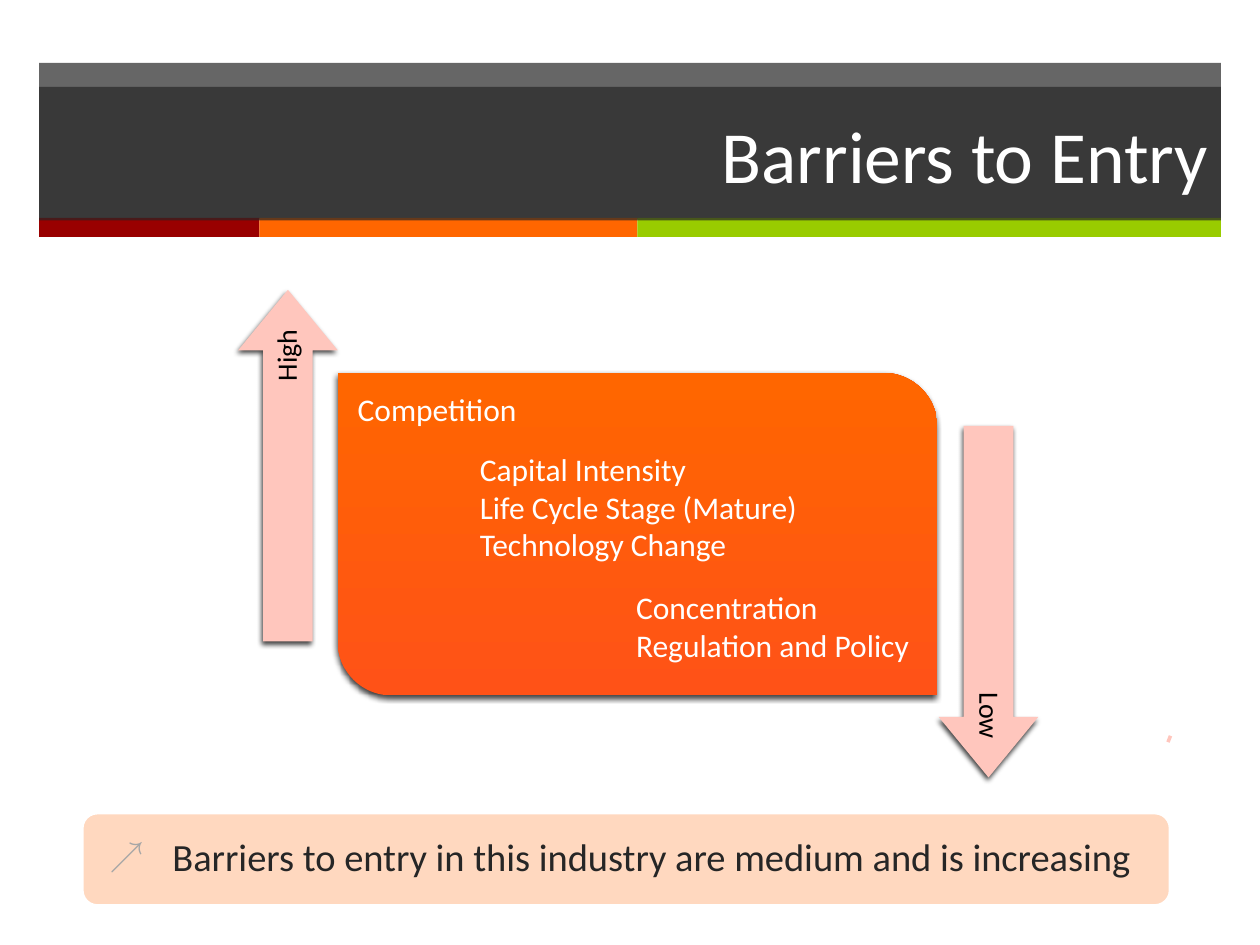
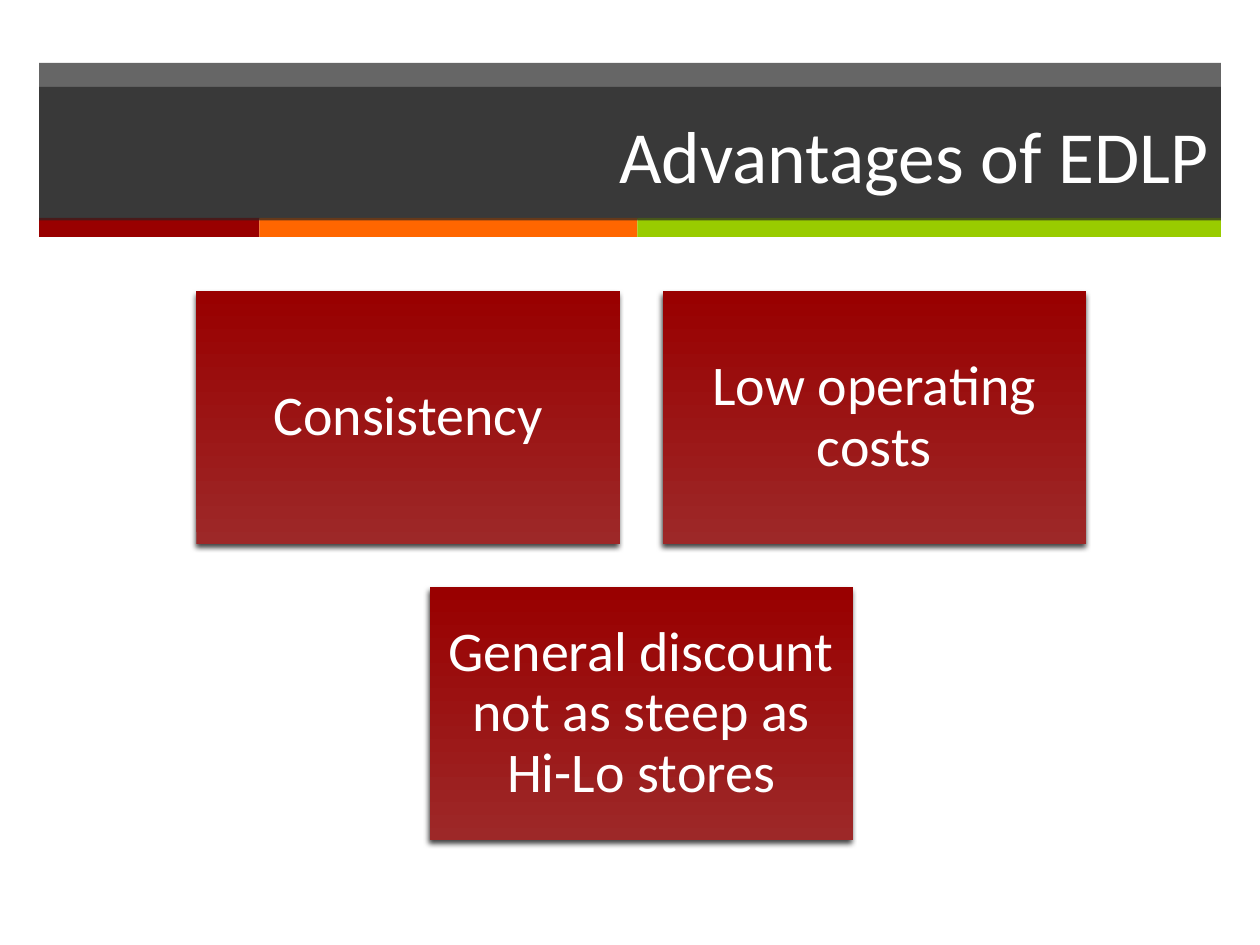
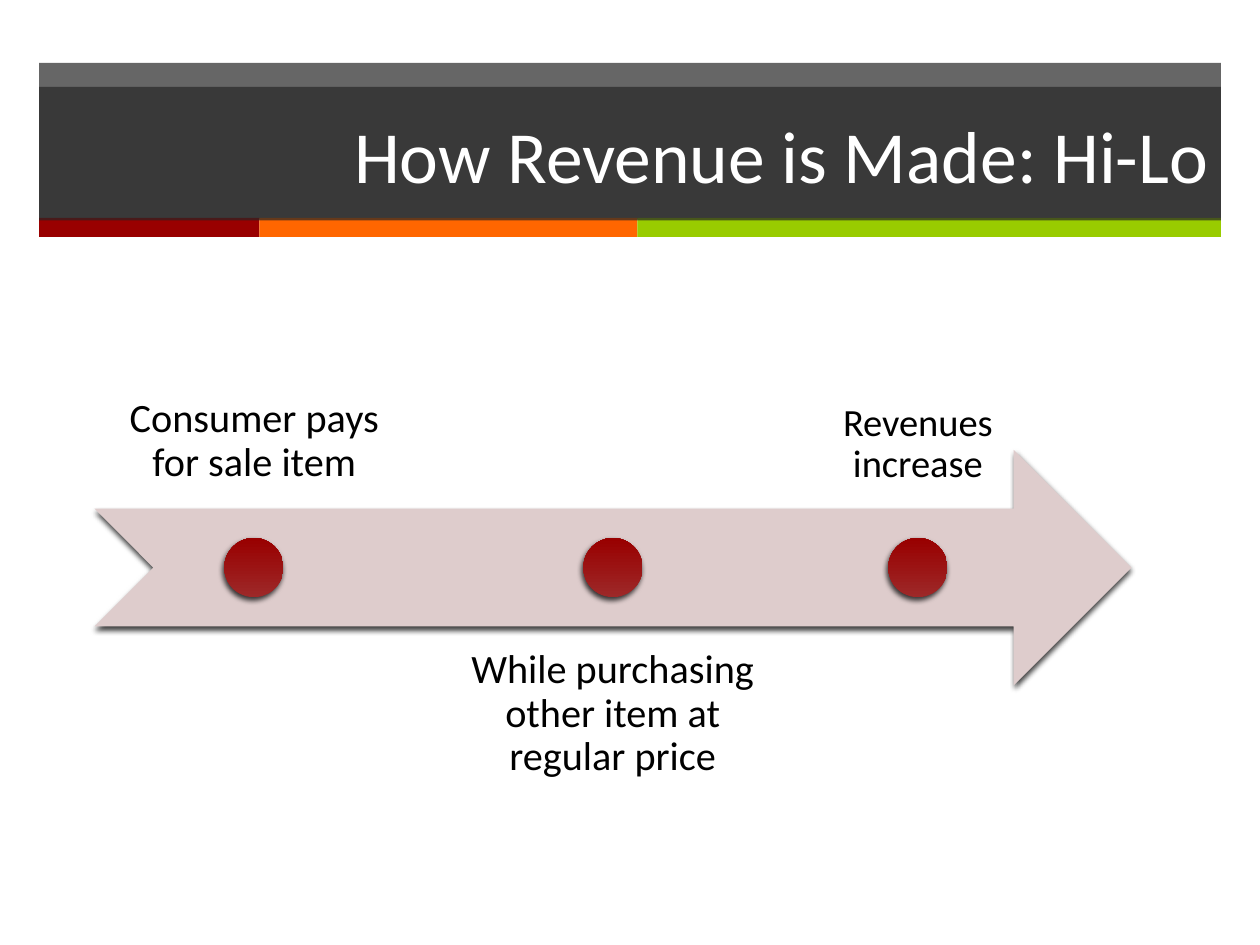
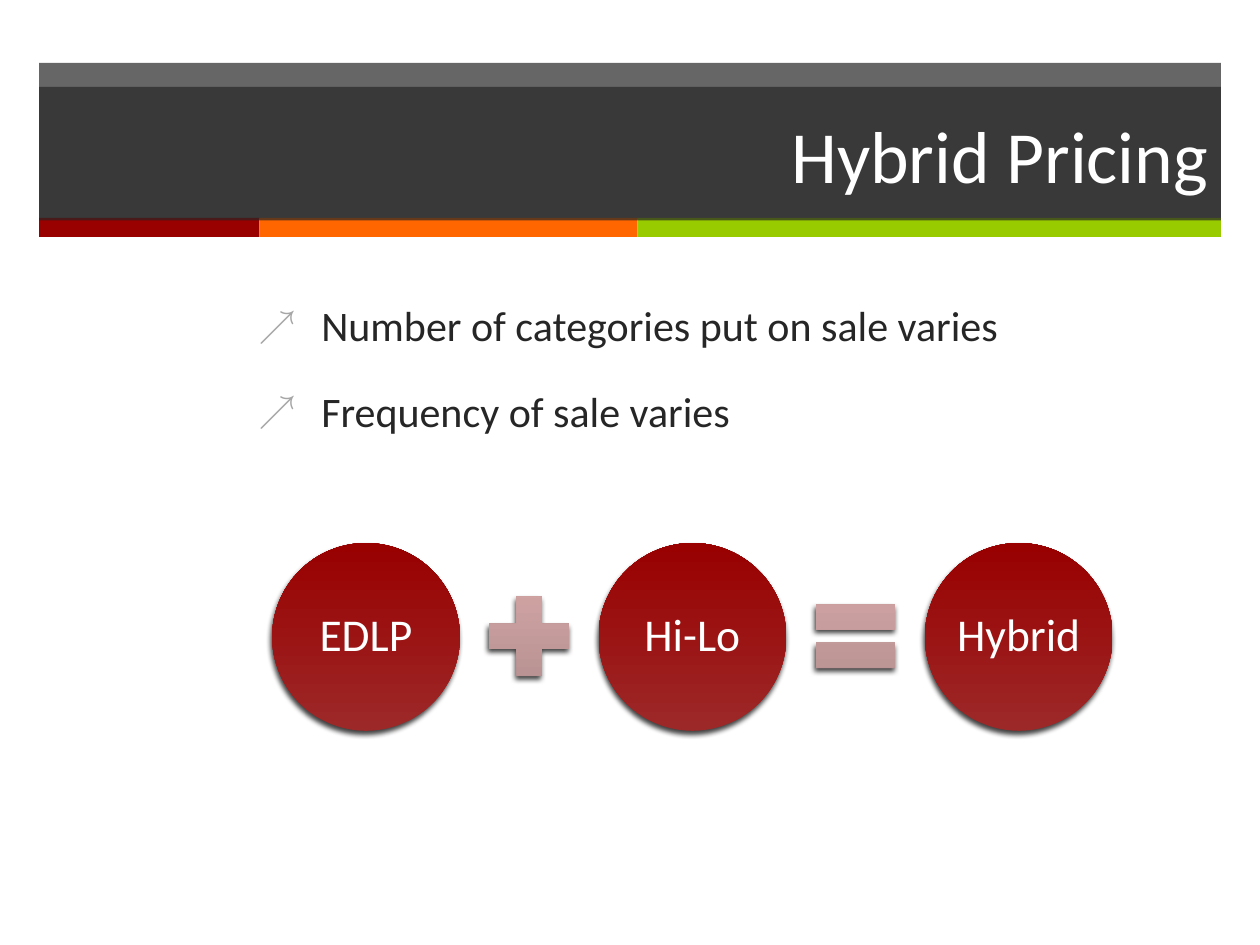
from dataclasses import dataclass
from typing import Any, NamedTuple

from lxml import etree
from pptx import Presentation
from pptx.dml.color import RGBColor
from pptx.enum.shapes import MSO_CONNECTOR, MSO_SHAPE
from pptx.enum.text import MSO_ANCHOR, MSO_AUTO_SIZE, PP_ALIGN
from pptx.oxml.ns import qn
from pptx.util import Emu, Pt

RECTANGLE = MSO_SHAPE.RECTANGLE
ROUNDED = MSO_SHAPE.ROUNDED_RECTANGLE
DIAGONAL = MSO_SHAPE.ROUND_2_DIAG_RECTANGLE
ARROW = MSO_SHAPE.RIGHT_ARROW
NOTCHED_ARROW = MSO_SHAPE.NOTCHED_RIGHT_ARROW
OVAL = MSO_SHAPE.OVAL
PLUS = MSO_SHAPE.MATH_PLUS
EQUAL = MSO_SHAPE.MATH_EQUAL
STRAIGHT = MSO_CONNECTOR.STRAIGHT
TOP, MIDDLE, BOTTOM = MSO_ANCHOR.TOP, MSO_ANCHOR.MIDDLE, MSO_ANCHOR.BOTTOM
LEFT, CENTER, RIGHT = PP_ALIGN.LEFT, PP_ALIGN.CENTER, PP_ALIGN.RIGHT
NO_FIT, GROW = MSO_AUTO_SIZE.NONE, MSO_AUTO_SIZE.SHAPE_TO_FIT_TEXT

EMU_PER_PX = 9144
TITLE_ONLY, TITLE_AND_CONTENT = 5, 1


def px(length: int) -> Emu:
    return Emu(length * EMU_PER_PX)


@dataclass(frozen=True)
class Theme:
    font: str = "Calibri"
    bullet_font: str = "Arial"
    white: str = "FFFFFF"
    black: str = "000000"
    dark: str = "262626"
    red: str = "990000"
    orange: str = "FF6600"
    green: str = "99CC00"
    pink: str = "FFC6BD"
    dusty: str = "DECCCC"
    bullet: str = "A6A6A6"
    red_fade: tuple[str, str] = ("9D2828", "990000")
    orange_fade: tuple[str, str] = ("FF5217", "FF6600")
    sign_fade: tuple[str, str] = ("B69191", "D2A4A4")
    title_size: int = 42
    card_size: int = 32
    circle_size: int = 26
    list_size: int = 24
    event_size: int = 23
    conclusion_size: int = 22
    factor_size: int = 18
    scale_size: int = 16


THEME = Theme()


class Box(NamedTuple):
    left: int
    top: int
    width: int
    height: int


@dataclass(frozen=True)
class TextStyle:
    size: int
    color: str
    align: Any = LEFT
    anchor: Any = TOP
    inset: int | None = None
    spacing: float = 1.0
    bulleted: bool = False
    wrap: bool = True
    fit: Any = NO_FIT


@dataclass(frozen=True)
class Paint:
    fill: str | tuple[str, str]
    opacity: int = 100
    border: str | None = None
    shadow: bool = False


class Level(NamedTuple):
    label: str
    arrow: Box
    label_box: Box
    rotation: int


class Factors(NamedTuple):
    box: Box
    names: list[str]


class Event(NamedTuple):
    label: str
    left: int
    width: int
    below: bool
    size: int
    inset: int


BAND_LEFT = 31
BAND = Box(BAND_LEFT, 50, 938, 124)
TITLE_BOX = Box(BAND_LEFT, 69, 938, 106)
STRIPS = [(175, THEME.red), (300, THEME.orange), (463, THEME.green)]
BAND_PAINT = Paint(THEME.dark, opacity=70)
CARD_PAINT = Paint(THEME.red_fade, shadow=True)
TITLE_STYLE = TextStyle(THEME.title_size, THEME.white, RIGHT, MIDDLE)


def assign(target: Any, values: dict[str, Any]) -> None:
    for name, value in values.items():
        setattr(target, name, value)


def place(shape: Any, box: Box) -> None:
    assign(shape, {name: px(length) for name, length in box._asdict().items()})


def add_element(parent: Any, tag: str, **attributes: Any) -> Any:
    values = {name: str(value) for name, value in attributes.items()}
    return etree.SubElement(parent, qn(tag), values)


def add_shadow(shape: Any) -> None:
    effects = shape.element.spPr.find(qn("a:effectLst"))
    shadow = add_element(effects, "a:outerShdw", blurRad=Pt(3), dist=Pt(2),
                         dir=110 * 60000, rotWithShape=0)
    color = add_element(shadow, "a:srgbClr", val=THEME.black)
    add_element(color, "a:alpha", val=75000)


def paint_shape(shape: Any, paint: Paint) -> None:
    if isinstance(paint.fill, tuple):
        shape.fill.gradient()
        shape.fill.gradient_angle = 90
        for stop, color in zip(shape.fill.gradient_stops, paint.fill):
            stop.color.rgb = RGBColor.from_string(color)
    else:
        shape.fill.solid()
        shape.fill.fore_color.rgb = RGBColor.from_string(paint.fill)
    if paint.opacity < 100:
        color = shape.element.spPr.find(".//" + qn("a:srgbClr"))
        add_element(color, "a:alpha", val=paint.opacity * 1000)
    if paint.border:
        shape.line.color.rgb = RGBColor.from_string(paint.border)
        shape.line.width = Pt(2)
    else:
        shape.line.fill.background()
    shape.shadow.inherit = False
    if paint.shadow:
        add_shadow(shape)


def add_bullet(para: Any) -> None:
    properties = para._p.get_or_add_pPr()
    for name, length in {"marL": 50, "indent": -50}.items():
        properties.set(name, str(px(length)))
    color = add_element(properties, "a:buClr")
    add_element(color, "a:srgbClr", val=THEME.bullet)
    add_element(properties, "a:buSzPct", val=90000)
    add_element(properties, "a:buFont", typeface=THEME.bullet_font)
    add_element(properties, "a:buChar", char="↗")


def write(frame: Any, lines: list[str], style: TextStyle) -> None:
    assign(frame, {"word_wrap": style.wrap, "auto_size": style.fit,
                   "vertical_anchor": style.anchor})
    if style.inset is not None:
        sides = ("left", "top", "right", "bottom")
        assign(frame, {f"margin_{side}": px(style.inset) for side in sides})
    for index, line in enumerate(lines):
        para = frame.add_paragraph() if index else frame.paragraphs[0]
        if style.bulleted:
            add_bullet(para)
        gap = 20 if style.bulleted and index else 0
        assign(para, {"alignment": style.align, "line_spacing": style.spacing,
                      "space_before": Pt(gap)})
        span = para.add_run()
        span.text = line
        assign(span.font, {"name": THEME.font, "size": Pt(style.size)})
        span.font.color.rgb = RGBColor.from_string(style.color)


def draw_shape(page: Any, kind: Any, box: Box, paint: Paint,
               adjustments: tuple[float, ...] = (), rotation: int = 0) -> Any:
    shape = page.shapes.add_shape(kind, *map(px, box))
    shape.rotation = rotation
    for index, value in enumerate(adjustments):
        shape.adjustments[index] = value
    paint_shape(shape, paint)
    return shape


def draw_text(page: Any, box: Box, lines: list[str], style: TextStyle,
              rotation: int = 0) -> None:
    shape = page.shapes.add_textbox(*map(px, box))
    write(shape.text_frame, lines, style)
    shape.rotation = rotation


def add_page(deck: Any, layout: int, title: str) -> Any:
    page = deck.slides.add_slide(deck.slide_layouts[layout])
    place(page.shapes.title, TITLE_BOX)
    paint_shape(page.shapes.title, BAND_PAINT)
    write(page.shapes.title.text_frame, [title], TITLE_STYLE)
    return page


def move_band_to_master(deck: Any, page: Any) -> None:
    parts = [draw_shape(page, RECTANGLE, BAND, BAND_PAINT)]
    left = BAND_LEFT
    for width, color in STRIPS:
        parts.append(draw_shape(page, RECTANGLE, Box(left, 173, width, 15), Paint(color)))
        left += width
    tree = deck.slide_master.shapes.element
    for index, part in enumerate(parts):
        part.element.nvSpPr.cNvPr.id = 20 + index
        tree.insert(2 + index, part.element)


def build_barriers(deck: Any) -> None:
    page = add_page(deck, TITLE_ONLY, "Barriers to Entry")
    move_band_to_master(deck, page)
    draw_shape(page, DIAGONAL, Box(268, 296, 476, 256),
               Paint(THEME.orange_fade, shadow=True), (0, 0.167))

    tick = page.shapes.add_connector(STRAIGHT, *map(px, (929, 584, 927, 589)))
    tick.line.color.rgb = RGBColor.from_string(THEME.pink)
    tick.line.width = Pt(2)
    add_element(tick.element.spPr, "a:effectLst")

    levels = [
        Level("High", Box(89, 330, 279, 79), Box(101, 362, 255, 40), 270),
        Level("Low", Box(645, 438, 279, 79), Box(657, 446, 255, 40), 90),
    ]
    level_style = TextStyle(THEME.scale_size, THEME.black, RIGHT, MIDDLE, 7, 0.9)
    for level in levels:
        draw_shape(page, ARROW, level.arrow, Paint(THEME.pink, shadow=True),
                   (0.498, 0.607), level.rotation)
        draw_text(page, level.label_box, [level.label], level_style, level.rotation)

    factor_groups = [
        Factors(Box(274, 305, 148, 40), ["Competition"]),
        Factors(Box(371, 352, 277, 101),
                ["Capital Intensity", "Life Cycle Stage (Mature)", "Technology Change"]),
        Factors(Box(495, 462, 240, 71), ["Concentration", "Regulation and Policy"]),
    ]
    factor_style = TextStyle(THEME.factor_size, THEME.white, wrap=False, fit=GROW)
    for group in factor_groups:
        draw_text(page, group.box, group.names, factor_style)

    draw_shape(page, ROUNDED, Box(65, 645, 864, 74),
               Paint(THEME.orange, opacity=25, border=THEME.white))
    draw_text(page, Box(77, 656, 925, 58),
              ["Barriers to entry in this industry are medium and is increasing"],
              TextStyle(THEME.conclusion_size, THEME.dark, bulleted=True))


def build_advantages(deck: Any) -> None:
    page = add_page(deck, TITLE_ONLY, "Advantages of EDLP")
    rows = [
        ["Consistency", "Low operating costs"],
        ["General discount not as steep as Hi-Lo stores"],
    ]
    width, height, gap = 336, 201, 34
    grid_left, grid_top = 156, 231
    grid_width = 2 * width + gap
    style = TextStyle(THEME.card_size, THEME.white, CENTER, MIDDLE, 13, 0.9)
    for row, labels in enumerate(rows):
        row_width = len(labels) * (width + gap) - gap
        row_left = grid_left + (grid_width - row_width) // 2
        for column, label in enumerate(labels):
            box = Box(row_left + column * (width + gap),
                      grid_top + row * (height + gap), width, height)
            card = draw_shape(page, RECTANGLE, box, CARD_PAINT)
            write(card.text_frame, [label], style)


def build_revenue(deck: Any) -> None:
    page = add_page(deck, TITLE_ONLY, "How Revenue is Made: Hi-Lo")
    draw_shape(page, NOTCHED_ARROW, Box(75, 357, 823, 187),
               Paint(THEME.dusty, shadow=True))
    events = [
        Event("Consumer pays for sale item", 75, 254, False, THEME.event_size, 18),
        Event("While purchasing other item at regular price", 335, 303, True,
              THEME.event_size, 18),
        Event("Revenues increase", 642, 173, False, THEME.conclusion_size, 17),
    ]
    dot = 47
    for event in events:
        top, anchor = (497, TOP) if event.below else (216, BOTTOM)
        style = TextStyle(event.size, THEME.black, CENTER, anchor, event.inset, 0.9)
        draw_text(page, Box(event.left, top, event.width, 187), [event.label], style)
        dot_left = event.left + (event.width - dot) // 2
        draw_shape(page, OVAL, Box(dot_left, 427, dot, dot), CARD_PAINT)


def build_hybrid(deck: Any) -> None:
    page = add_page(deck, TITLE_AND_CONTENT, "Hybrid Pricing")
    body = page.placeholders[1]
    place(body, Box(195, 233, 774, 437))
    write(body.text_frame,
          ["Number of categories put on sale varies", "Frequency of sale varies"],
          TextStyle(THEME.list_size, THEME.dark, bulleted=True))

    circle, sign, gap = 149, 86, 12
    left, top = 216, 431
    sign_top = top + (circle - sign) // 2
    style = TextStyle(THEME.circle_size, THEME.white, CENTER, MIDDLE, 0, 0.9)
    for label, following in [("EDLP", PLUS), ("Hi-Lo", EQUAL), ("Hybrid", None)]:
        term = draw_shape(page, OVAL, Box(left, top, circle, circle), CARD_PAINT)
        write(term.text_frame, [label], style)
        left += circle + gap
        if following is not None:
            draw_shape(page, following, Box(left, sign_top, sign, sign),
                       Paint(THEME.sign_fade, shadow=True))
            left += sign + gap


def main() -> None:
    deck = Presentation()
    assign(deck, {"slide_width": px(1000), "slide_height": px(750)})
    for build in (build_barriers, build_advantages, build_revenue, build_hybrid):
        build(deck)
    deck.save("out.pptx")


if __name__ == "__main__":
    main()
